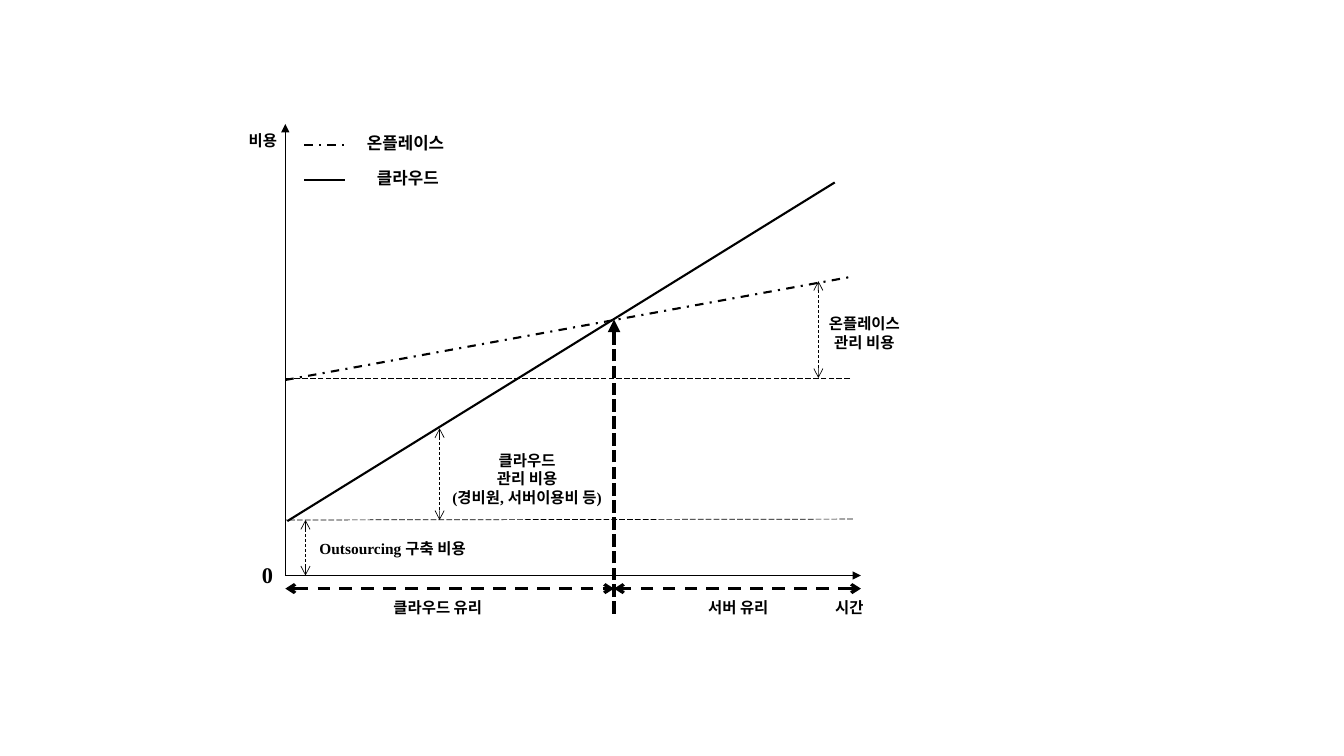
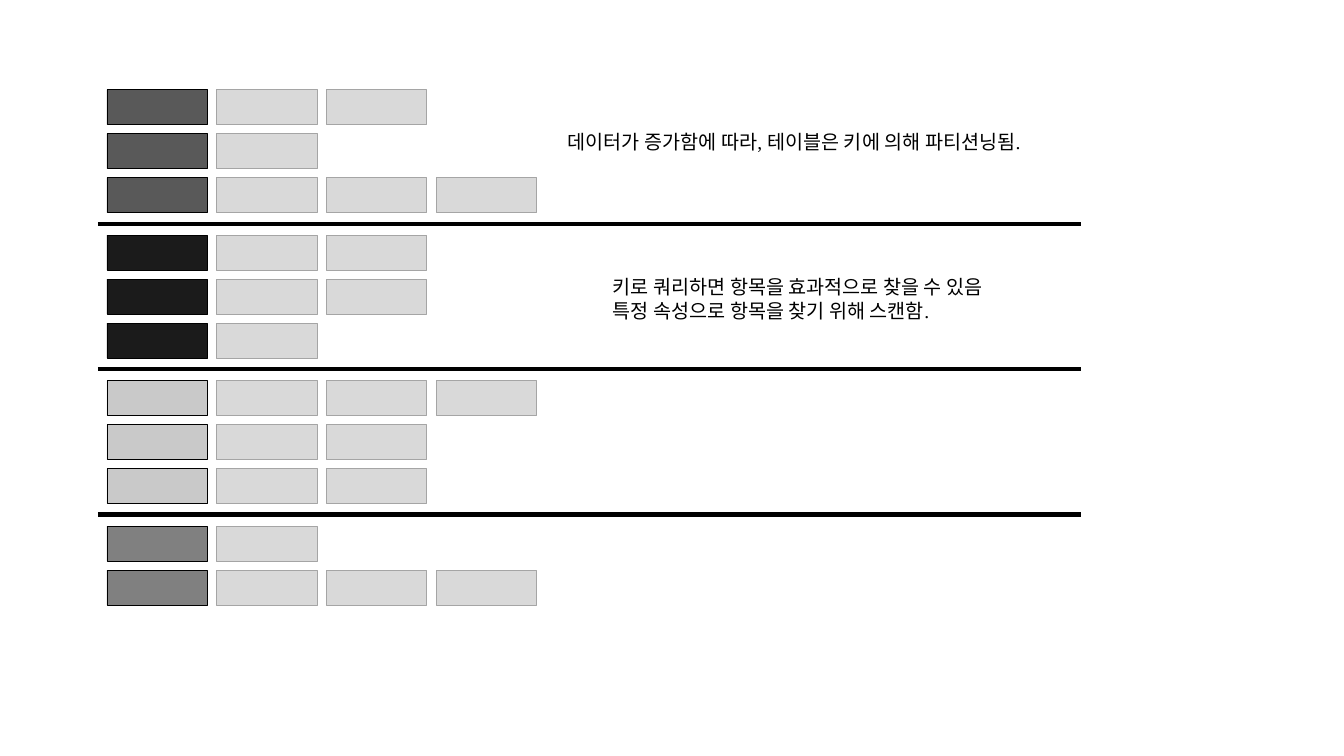
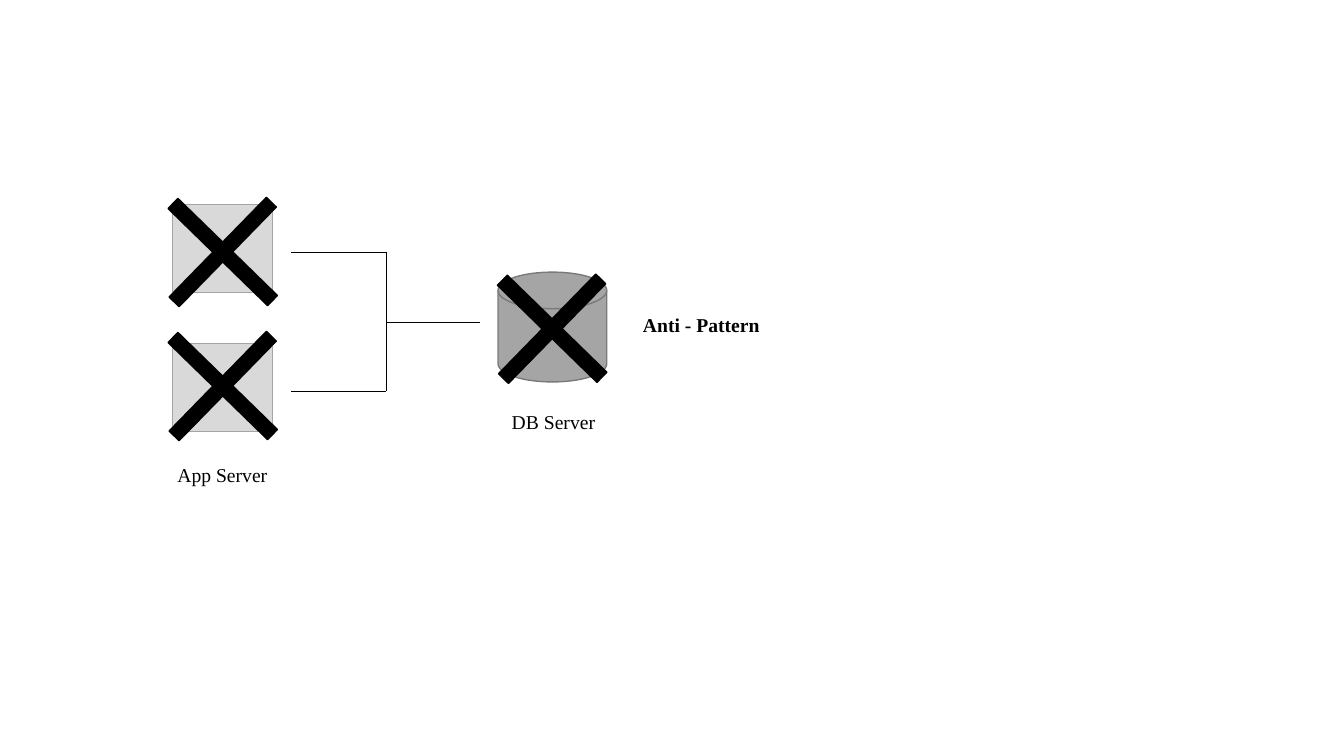
from dataclasses import dataclass

from lxml import etree
from pptx import Presentation
from pptx import util as u
from pptx.dml.color import RGBColor
from pptx.enum import dml, shapes, text
from pptx.oxml.ns import qn

FONT = "Times New Roman"
BLACK, PALE, GRAY, DISK_EDGE = "000000", "D9D9D9", "A5A5A5", "7A7A7A"
DASH = dml.MSO_LINE
SHAPE = shapes.MSO_SHAPE
LEFT, CENTER = text.PP_ALIGN.LEFT, text.PP_ALIGN.CENTER


@dataclass
class Box:
    """An area in inches; places inside it are given in percent of it."""
    left: float
    top: float
    width: float
    height: float

    def point(self, x, y):
        """Return the place x percent across and y percent down."""
        return self.left + self.width * x / 100, self.top + self.height * y / 100

    def inner(self, x, y, width, height=0):
        """Return the inner box with this corner and size."""
        return Box(*self.point(x, y), self.width * width / 100, self.height * height / 100)


PAGE = Box(0, 0, 13.33, 7.5)


def color(value):
    """Turn a hex string into a colour."""
    return RGBColor.from_string(value)


def add_line(slide, start, end, weight, dash=None, head=None, tail=None):
    """Draw a black straight line, dashed or with arrowheads if asked."""
    ends = [u.Inches(value) for value in (*start, *end)]
    connector = slide.shapes.add_connector(shapes.MSO_CONNECTOR.STRAIGHT, *ends)
    connector.line.color.rgb = color(BLACK)
    connector.line.width = u.Pt(weight)
    if dash:
        connector.line.dash_style = dash
    outline = connector.get_or_add_ln()
    for tag, kind in (("a:headEnd", head), ("a:tailEnd", tail)):
        if kind:
            etree.SubElement(outline, qn(tag)).set("type", kind)
    etree.SubElement(connector.element.spPr, qn("a:effectLst"))


def add_block(slide, box, kind, fill, edge, weight=0.5):
    """Draw a filled and outlined preset shape."""
    sides = [u.Inches(value) for value in (box.left, box.top, box.width, box.height)]
    shape = slide.shapes.add_shape(kind, *sides)
    shape.shadow.inherit = False
    shape.fill.solid()
    shape.fill.fore_color.rgb = color(fill)
    shape.line.color.rgb = color(edge)
    shape.line.width = u.Pt(weight)
    return shape


def add_label(slide, box, words, size=14, bold=False, align=LEFT, middle=False):
    """Write lines from the top of the box, or centred on its top edge."""
    height = 0.1 + (words.count("\n") + 1) * size / 60
    top = box.top - height / 2 if middle else box.top
    label = slide.shapes.add_textbox(
        u.Inches(box.left), u.Inches(top), u.Inches(box.width), u.Inches(height))
    frame = label.text_frame
    frame.word_wrap = align == CENTER
    frame.auto_size = text.MSO_AUTO_SIZE.SHAPE_TO_FIT_TEXT
    frame.text = words
    for paragraph in frame.paragraphs:
        paragraph.alignment = align
        paragraph.font.name = FONT
        paragraph.font.size = u.Pt(size)
        paragraph.font.bold = bold
        paragraph.font.color.rgb = color(BLACK)


def cost_graph(slide, box):
    """Plot cost over time; the box is spanned by the two axes."""
    def draw(time, cost, end_time, end_cost, weight, **style):
        """Draw a line between two places given as time and cost."""
        add_line(slide, box.point(time, 100 - cost),
                 box.point(end_time, 100 - end_cost), weight, **style)

    both = {"head": "arrow", "tail": "arrow"}
    cross = 57.1
    draw(0, 0, 0, 100, 0.5, tail="triangle")
    draw(0, 0, 100, 0, 0.5, tail="triangle")
    draw(0, 43.3, 98.1, 66.1, 1.5, dash=DASH.DASH_DOT)
    draw(0.35, 12.05, 95.45, 87.05, 1.5)
    draw(3.3, 95.3, 10.2, 95.3, 1.5, dash=DASH.DASH_DOT)
    draw(3.3, 87.5, 10.3, 87.5, 1.5)
    draw(98.1, 43.75, 0, 43.75, 0.5, dash=DASH.LONG_DASH)
    draw(98.6, 12.5, 0, 12.3, 0.5, dash=DASH.LONG_DASH)
    for time, low, high in ((3.5, 0, 12.3), (26.8, 12.3, 32.6), (92.6, 43.75, 65.2)):
        draw(time, high, time, low, 0.5, dash=DASH.DASH, **both)
    for edge in (0, 100):
        draw(edge, -2.9, cross, -2.9, 2.25, dash=DASH.DASH, **both)
    draw(cross, -8.5, cross, 56.7, 3, dash=DASH.SQUARE_DOT, tail="triangle")

    labels = (
        ("시간", 98, -7, 21.5, 11),
        ("비용", -3.9, 96.3, 21.5, 11),
        ("0", -3.1, 0.3, 21.5, 16),
        ("클라우드", 21.3, 88, 21.5, 12),
        ("온플레이스", 20.9, 95.8, 21.5, 12),
        ("Outsourcing 구축 비용", 18.65, 6.1, 39, 11),
        ("클라우드\n관리 비용\n(경비원, 서버이용비 등)", 42, 21.4, 58, 11),
        ("온플레이스\n관리 비용", 100.6, 53.7, 21, 11),
        ("클라우드 유리", 26.5, -7, 21.5, 11),
        ("서버 유리", 78.7, -7, 21.5, 11),
    )
    for words, time, cost, width, size in labels:
        add_label(slide, box.inner(time - width / 2, 100 - cost, width),
                  words, size, True, CENTER, middle=True)


def partitioned_table(slide, box):
    """Stack groups of keyed rows, parted by heavy rules, with two remarks."""
    groups = (("595959", (2, 1, 3)), ("1B1B1B", (2, 2, 1)),
              ("C9C9C9", (3, 2, 2)), ("808080", (1, 3)))
    group_step, row_step, column_step = 28.3, 8.55, 11.18
    for group, (key_fill, item_counts) in enumerate(groups):
        top = group * group_step
        for row, items in enumerate(item_counts):
            for column in range(items + 1):
                cell = box.inner(0.92 + column * column_step, top + row * row_step, 10.2, 6.8)
                fill, edge = (PALE, GRAY) if column else (key_fill, BLACK)
                add_block(slide, cell, SHAPE.RECTANGLE, fill, edge)
        if group:
            rule = top - 2.25
            add_line(slide, box.point(0, rule), box.point(100, rule), 3)
    add_label(slide, box.inner(46.8, 6.9, 52.4),
              "데이터가 증가함에 따라, 테이블은 키에 의해 파티션닝됨.")
    add_label(slide, box.inner(51.4, 35.1, 43.4),
              "키로 쿼리하면 항목을 효과적으로 찾을 수 있음\n"
              "특정 속성으로 항목을 찾기 위해 스캔함.")


def anti_pattern(slide, box):
    """Join two app servers to one database and cross all of them out."""
    trunk, branches = 37.7, (22.5, 67.4)
    for middle in branches:
        add_block(slide, box.inner(3.1, middle - 15.3, 16.15, 28.3),
                  SHAPE.RECTANGLE, PALE, GRAY)
        add_line(slide, box.point(trunk, middle), box.point(22.35, middle), 0.5)
    add_block(slide, box.inner(55.8, 29, 17.6, 35.5),
              SHAPE.FLOWCHART_MAGNETIC_DISK, GRAY, DISK_EDGE, 1)
    add_line(slide, *(box.point(trunk, middle) for middle in branches), 0.5)
    add_line(slide, box.point(52.85, 45.3), box.point(trunk, 45.3), 0.5)

    add_label(slide, box.inner(2.3, 88.9, 17.9), "App Server")
    add_label(slide, box.inner(77.65, 40.7, 22.35), "Anti - Pattern", bold=True)
    add_label(slide, box.inner(56.4, 72, 17), "DB Server")

    for left, top in ((0, 0), (0, 43.3), (53.3, 24.8)):
        cross = add_block(slide, box.inner(left, top, 22.5, 45), SHAPE.CROSS, BLACK, BLACK, 1)
        cross.adjustments[0] = 0.45
        cross.rotation = 44.3


def main():
    """Build the three slides and save them."""
    presentation = Presentation()
    presentation.slide_width = u.Inches(PAGE.width)
    presentation.slide_height = u.Inches(PAGE.height)
    blank = presentation.slide_layouts[6]
    pages = (
        (cost_graph, PAGE.inner(21.23, 16.4, 42.83, 59.73)),
        (partitioned_table, PAGE.inner(7.28, 11.87, 73.13, 68)),
        (anti_pattern, PAGE.inner(11.4, 24.13, 45.98, 40.93)),
    )
    for build, box in pages:
        build(presentation.slides.add_slide(blank), box)
    presentation.save("out.pptx")


main()
